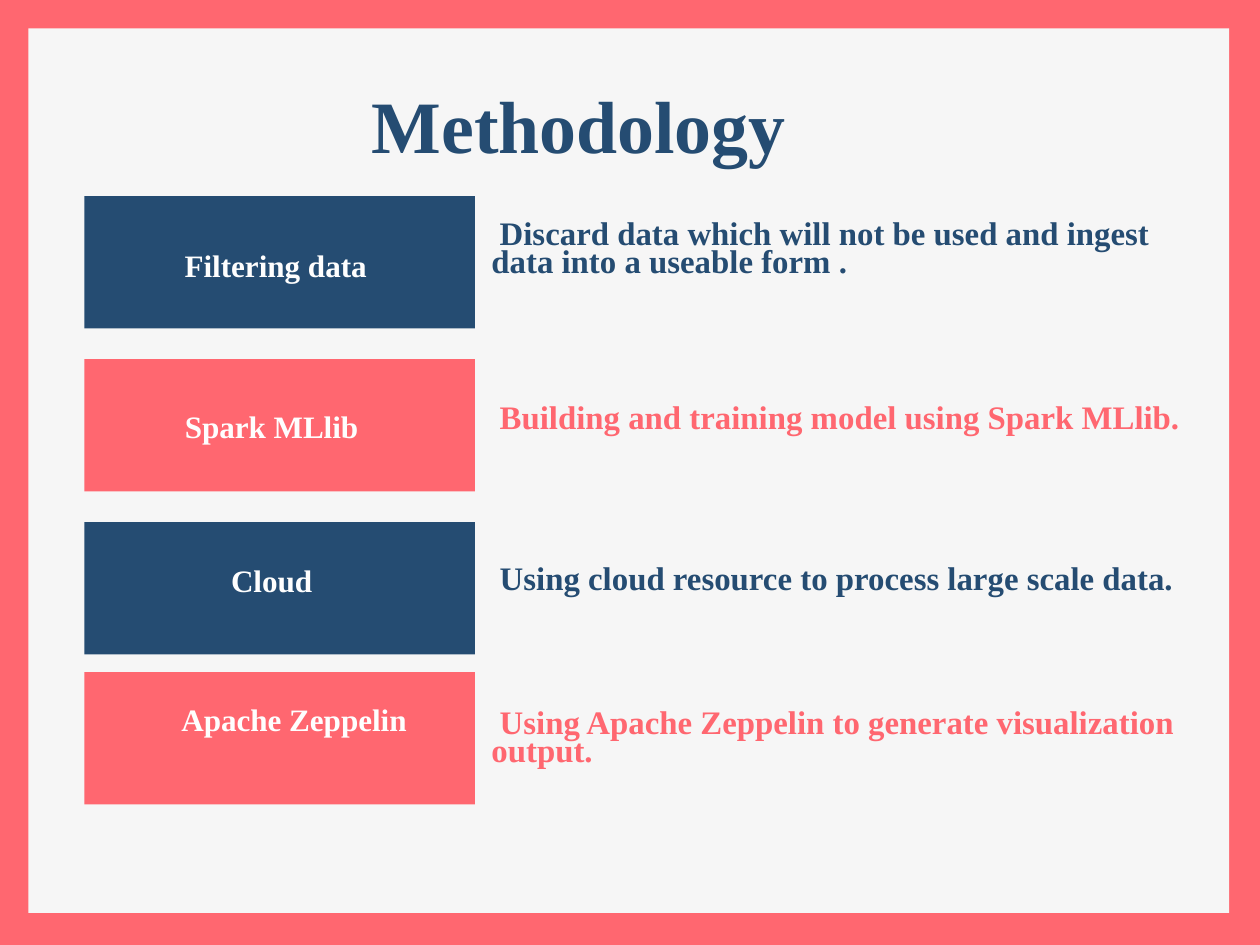
import dataclasses

import pptx
import pptx.dml.color
import pptx.enum.shapes
import pptx.enum.text
import pptx.oxml.ns
import pptx.util
from lxml import etree


@dataclasses.dataclass(frozen=True)
class Theme:
    navy: str = "254C72"
    coral: str = "FF6770"
    paper: str = "F6F6F6"
    white: str = "FEFEFE"
    font: str = "Times New Roman"
    title: int = 45
    label: int = 19
    body: int = 20


THEME = Theme()
WIDTH, HEIGHT = pptx.util.Inches(10.67), pptx.util.Inches(8)

# Boxes are left, top, width, height in percent of the slide.
SLIDE = (0, 0, 100, 100)
PANEL = (2.25, 3, 95.3, 93.6)
TITLE = (29.5, 9, 41, 9.9)
CARDS = (6.7, 20.75, 31, 64.38)
LABELS = (9.28, 26.88, 24.56, 54.6)
DESCRIPTIONS = (39, 23.75, 57.1, 57.9)
CARD_TOPS = (0, 17.25, 34.5, 50.38)
CARD_HEIGHT = 14

# Text, space before in points, first-line indent in inches
STEP_LABELS = [
    ("Filtering data", 0, 0.07),
    ("Spark MLlib", 80, 0),
    ("Cloud", 76, 0),
    ("Apache Zeppelin", 67, 0.38),
]
STEP_DESCRIPTIONS = [
    ("Discard data which will not be used and ingest data into a useable form .", 0, 0.07),
    ("Building and training model using Spark MLlib.", 78, 0.07),
    ("Using cloud resource to process large scale data.", 81, 0.07),
    ("Using Apache Zeppelin to generate visualization output.", 71, 0.07),
]


def rgb(color):
    return pptx.dml.color.RGBColor.from_string(color)


def to_emu(box):
    left, top, width, height = box
    return [round(share * side / 100) for share, side in
            ((left, WIDTH), (top, HEIGHT), (width, WIDTH), (height, HEIGHT))]


def add_block(s, box, color):
    sp = s.shapes.add_shape(pptx.enum.shapes.MSO_SHAPE.RECTANGLE, *to_emu(box))
    sp.shadow.inherit = False
    sp.fill.solid()
    sp.fill.fore_color.rgb = rgb(color)
    sp.line.fill.background()


def place(s, sp, box):
    """Move a text shape to its box, in front of the blocks, without insets."""
    sp.left, sp.top, sp.width, sp.height = to_emu(box)
    s.shapes.element.append(sp.element)
    tf = sp.text_frame
    tf.word_wrap = True
    tf.auto_size = pptx.enum.text.MSO_AUTO_SIZE.NONE
    tf.vertical_anchor = pptx.enum.text.MSO_ANCHOR.TOP
    tf.margin_left = tf.margin_top = tf.margin_right = tf.margin_bottom = 0
    return tf


def format_paragraph(p, size, color, align, leading, before=0, indent=0):
    p.alignment = align
    p.line_spacing = pptx.util.Pt(leading)
    p.space_before = pptx.util.Pt(before)
    pPr = p._p.get_or_add_pPr()
    pPr.set("marL", "0")
    pPr.set("indent", str(pptx.util.Inches(indent)))
    etree.SubElement(pPr, pptx.oxml.ns.qn("a:buNone"))
    for r in p.runs:
        r.font.name = THEME.font
        r.font.size = pptx.util.Pt(size)
        r.font.bold = True
        r.font.color.rgb = rgb(color)


def fill_steps(tf, steps, size, colors, align, leading):
    tf.text = "\n".join(text for text, _, _ in steps)
    for p, (_, before, indent), color in zip(tf.paragraphs, steps, colors):
        format_paragraph(p, size, color, align, leading, before, indent)


def add_cards(s, box, colors):
    left, top, width, _ = box
    for offset, color in zip(CARD_TOPS, colors):
        add_block(s, (left, top + offset, width, CARD_HEIGHT), color)


def add_title(s, box):
    tf = place(s, s.shapes.title, box)
    tf.text = "Methodology"
    format_paragraph(tf.paragraphs[0], THEME.title, THEME.navy,
                     pptx.enum.text.PP_ALIGN.LEFT, 51)


def add_labels(s, box):
    tf = place(s, s.shapes.add_textbox(0, 0, 0, 0), box)
    fill_steps(tf, STEP_LABELS, THEME.label, [THEME.white] * len(STEP_LABELS),
               pptx.enum.text.PP_ALIGN.CENTER, 18)


def add_descriptions(s, box, colors):
    tf = place(s, s.placeholders[1], box)
    fill_steps(tf, STEP_DESCRIPTIONS, THEME.body, colors,
               pptx.enum.text.PP_ALIGN.LEFT, 17)


def build_methodology(prs):
    s = prs.slides.add_slide(prs.slide_layouts[1])
    colors = [THEME.navy, THEME.coral] * 2
    add_block(s, SLIDE, THEME.coral)
    add_block(s, PANEL, THEME.paper)
    add_cards(s, CARDS, colors)
    add_title(s, TITLE)
    add_labels(s, LABELS)
    add_descriptions(s, DESCRIPTIONS, colors)


def main():
    prs = pptx.Presentation()
    prs.slide_width, prs.slide_height = WIDTH, HEIGHT
    build_methodology(prs)
    prs.save("out.pptx")


if __name__ == "__main__":
    main()
